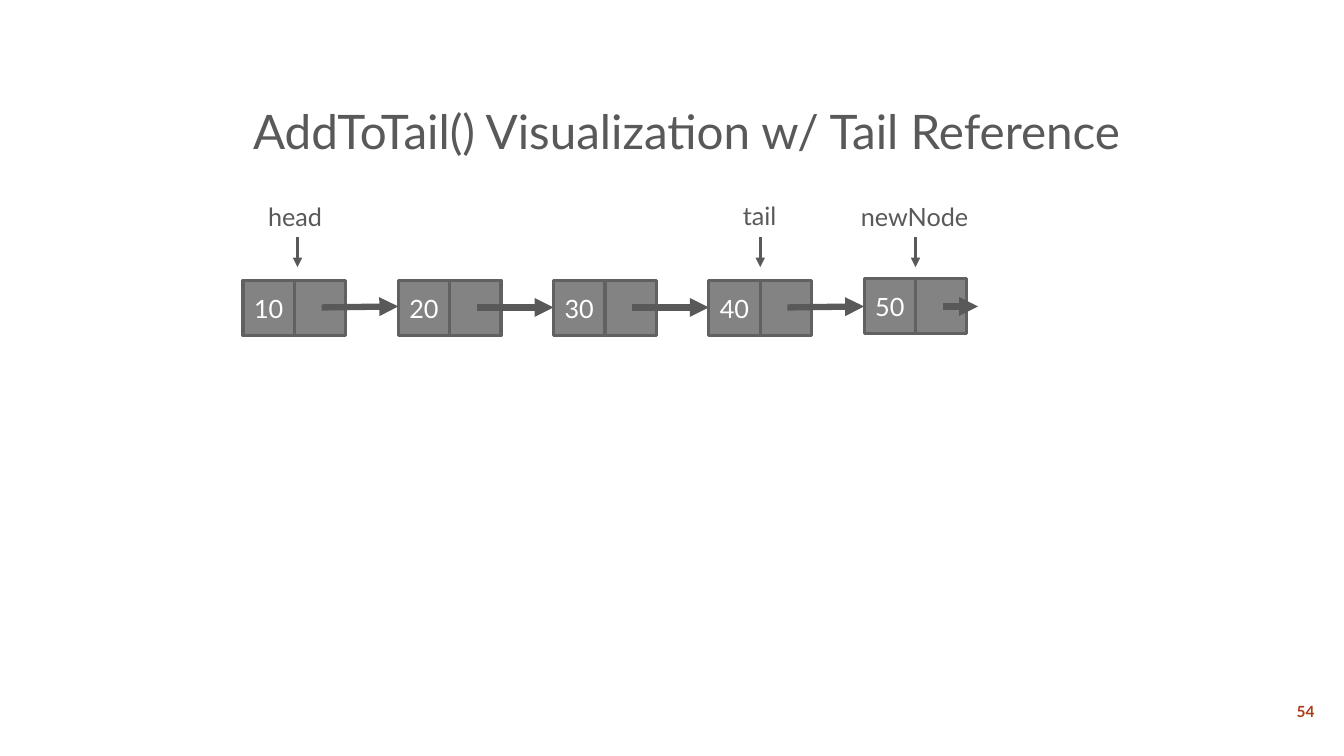
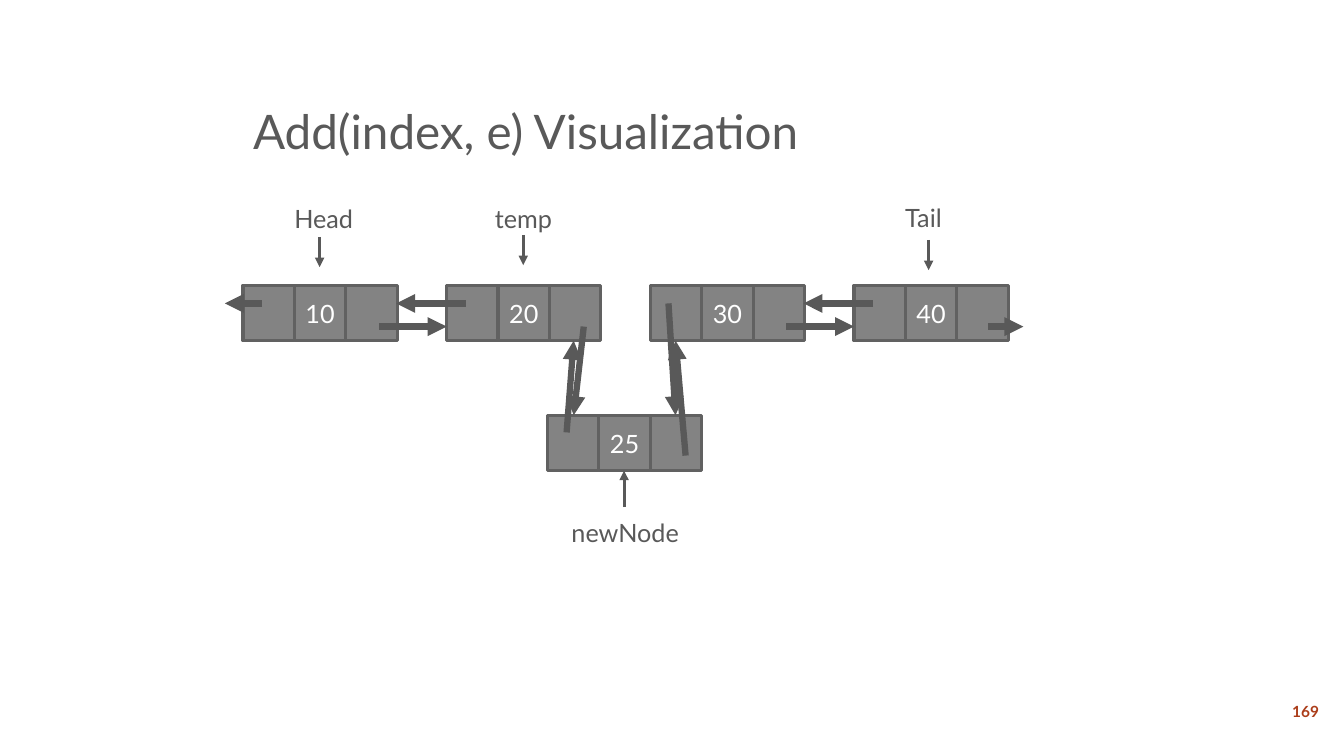
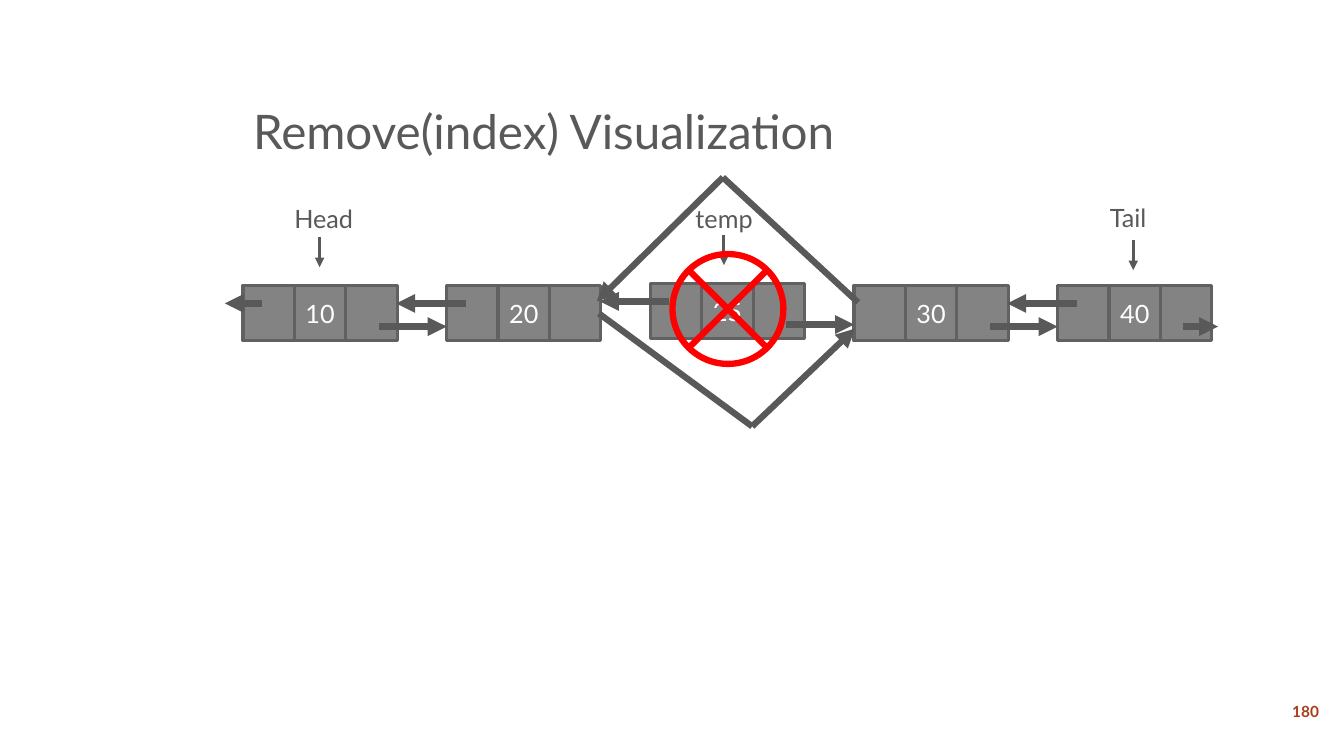
import dataclasses

import lxml.etree
import pptx
import pptx.dml.color
import pptx.enum.shapes
import pptx.enum.text
import pptx.oxml.ns
import pptx.util

Inches = pptx.util.Inches
Pt = pptx.util.Pt
Shape = pptx.enum.shapes.MSO_SHAPE
Align = pptx.enum.text.PP_ALIGN
Anchor = pptx.enum.text.MSO_ANCHOR
AutoSize = pptx.enum.text.MSO_AUTO_SIZE


@dataclasses.dataclass(frozen=True)
class Theme:
    font: str = "Lato"
    ink: str = "595959"
    white: str = "FFFFFF"
    accent: str = "AB3C19"
    cell: str = "838383"
    border: str = "616161"
    warning: str = "FF0000"
    title_size: float = 34
    text_size: float = 18
    number_size: float = 11
    thin: float = 2.25
    thick: float = 4.5


THEME = Theme()
CELL_WIDTH = 0.51
CELL_HEIGHT = 0.55
LIST_LEFT = 2.41
SINGLE_PITCH = 1.54
DOUBLE_PITCH = 2.02
SINGLE_TOP = 2.78
DOUBLE_TOP = 2.83


def rgb(value):
    return pptx.dml.color.RGBColor.from_string(value)


def write(frame, text, size, color, align=Align.LEFT, bold=False):
    para = frame.paragraphs[0]
    para.alignment = align
    span = para.add_run()
    span.text = text
    span.font.name = THEME.font
    span.font.size = Pt(size)
    span.font.bold = bold
    span.font.color.rgb = rgb(color)
    return para


def set_line(shape, color, width):
    shape.line.color.rgb = rgb(color)
    shape.line.width = Pt(width)


def add_page(deck, title, number):
    page = deck.slides.add_slide(deck.slide_layouts[5])
    heading = page.shapes.title
    heading.left, heading.top = Inches(LIST_LEFT), Inches(0.33)
    heading.width, heading.height = Inches(10.25), Inches(1.31)
    heading.text_frame.auto_size = AutoSize.NONE
    heading.text_frame.vertical_anchor = Anchor.BOTTOM
    para = write(heading.text_frame, title, THEME.title_size, THEME.ink)
    para.line_spacing = 0.9

    box = page.shapes.add_textbox(Inches(12.66), Inches(6.87), Inches(0.58), Inches(0.38))
    box.text_frame.word_wrap = True
    box.text_frame.vertical_anchor = Anchor.MIDDLE
    write(box.text_frame, number, THEME.number_size, THEME.accent, Align.CENTER, True)
    return page


def add_line(page, start, end, width=THEME.thick, head=True):
    line = page.shapes.add_connector(
        pptx.enum.shapes.MSO_CONNECTOR.STRAIGHT,
        *(Inches(value) for value in (*start, *end)),
    )
    set_line(line, THEME.ink, width)
    qn = pptx.oxml.ns.qn
    properties = line.element.spPr
    if head:
        outline = properties.find(qn("a:ln"))
        lxml.etree.SubElement(outline, qn("a:tailEnd"), type="triangle")
    lxml.etree.SubElement(properties, qn("a:effectLst"))


def add_label(page, text, left, top, width, pointer_x, pointer_start, pointer_end):
    box = page.shapes.add_textbox(Inches(left), Inches(top), Inches(width), Inches(0.4))
    box.text_frame.word_wrap = False
    box.text_frame.auto_size = AutoSize.SHAPE_TO_FIT_TEXT
    write(box.text_frame, text, THEME.text_size, THEME.ink)
    add_line(page, (pointer_x, pointer_start), (pointer_x, pointer_end), THEME.thin)


def add_node(page, left, top, texts):
    for index, text in enumerate(texts):
        cell = page.shapes.add_shape(
            Shape.RECTANGLE,
            Inches(left + index * CELL_WIDTH),
            Inches(top),
            Inches(CELL_WIDTH),
            Inches(CELL_HEIGHT),
        )
        cell.shadow.inherit = False
        cell.fill.solid()
        cell.fill.fore_color.rgb = rgb(THEME.cell)
        set_line(cell, THEME.border, THEME.thin)
        if text:
            frame = cell.text_frame
            frame.margin_left = frame.margin_right = 0
            frame.vertical_anchor = Anchor.MIDDLE
            write(frame, text, THEME.text_size, THEME.white, Align.CENTER)


def add_double_node(page, left, top, value):
    add_node(page, left, top, ("", value, ""))


def node_left(index, pitch=DOUBLE_PITCH):
    return LIST_LEFT + index * pitch


def add_next(page, index, top=DOUBLE_TOP):
    left, y = node_left(index), top + 0.41
    add_line(page, (left + 1.35, y), (left + DOUBLE_PITCH, y))


def add_previous(page, index, top=DOUBLE_TOP):
    left, y = node_left(index), top + 0.18
    add_line(page, (left + 0.19, y), (left - 0.5, y))


def add_list_ends(page, next_start, next_end):
    add_line(page, (2.6, 3.01), (2.23, 3.01))
    add_line(page, (next_start, 3.24), (next_end, 3.24))


def build_add_to_tail(deck):
    page = add_page(deck, "AddToTail() Visualization w/ Tail Reference", "54")
    tops = (SINGLE_TOP,) * 4 + (2.76,)
    for index, top in enumerate(tops):
        value = str(10 * (index + 1))
        add_node(page, node_left(index, SINGLE_PITCH), top, (value, ""))
    for index, end_y in enumerate((3.04, 3.05, 3.05, 3.04)):
        left = node_left(index, SINGLE_PITCH)
        add_line(page, (left + 0.78, 3.05), (left + SINGLE_PITCH, end_y))
    add_line(page, (9.35, 3.04), (9.7, 3.04))
    add_label(page, "head", 2.56, 1.95, 0.78, 2.95, 2.35, 2.65)
    add_label(page, "newNode", 8.44, 1.95, 1.27, 9.08, 2.35, 2.65)
    add_label(page, "tail", 7.27, 1.94, 0.56, 7.54, 2.35, 2.65)


def build_add_at_index(deck):
    page = add_page(deck, "Add(index, e) Visualization", "169")
    for index, value in enumerate(("10", "20", "30", "40")):
        add_double_node(page, node_left(index), DOUBLE_TOP, value)
    add_double_node(page, 5.43, 4.12, "25")
    for index in (0, 2):
        add_next(page, index)
    for index in (1, 3):
        add_previous(page, index)
    add_list_ends(page, 9.8, 10.15)

    insertion_links = (
        ((5.79, 3.24), (5.69, 4.12)),
        ((6.63, 3.01), (6.7, 4.12)),
        ((5.62, 4.29), (5.69, 3.38)),
        ((6.8, 4.52), (6.7, 3.38)),
    )
    for start, end in insertion_links:
        add_line(page, start, end)

    add_label(page, "Head", 2.82, 1.97, 0.81, 3.17, 2.35, 2.65)
    add_label(page, "Tail", 8.88, 1.96, 0.59, 9.21, 2.38, 2.68)
    add_label(page, "temp", 4.81, 1.97, 0.77, 5.19, 2.33, 2.63)
    add_label(page, "newNode", 5.57, 5.08, 1.27, 6.19, 5.03, 4.67)


def build_remove(deck):
    page = add_page(deck, "Remove(index) Visualization", "180")
    removed_top = 2.81
    tops = (DOUBLE_TOP, DOUBLE_TOP, removed_top, DOUBLE_TOP, DOUBLE_TOP)
    for index, (value, top) in enumerate(zip(("10", "20", "25", "30", "40"), tops)):
        add_double_node(page, node_left(index), top, value)
    for index in (0, 2, 3):
        add_next(page, index, tops[index])
    for index in (1, 2, 4):
        add_previous(page, index, tops[index])
    add_list_ends(page, 11.73, 12.08)

    add_label(page, "Head", 2.82, 1.97, 0.81, 3.17, 2.35, 2.65)
    add_label(page, "Tail", 10.91, 1.96, 0.59, 11.24, 2.38, 2.68)
    add_label(page, "temp", 6.8, 1.97, 0.77, 7.18, 2.33, 2.63)

    bypasses = (
        ((8.51, 3), (7.17, 1.76), (5.92, 2.99)),
        ((5.94, 3.11), (7.46, 4.23), (8.48, 3.26)),
    )
    for start, corner, end in bypasses:
        add_line(page, start, corner, head=False)
        add_line(page, corner, end)

    cross = page.shapes.add_shape(
        Shape.FLOWCHART_SUMMING_JUNCTION, Inches(6.67), Inches(2.52), Inches(1.1), Inches(1.09)
    )
    cross.shadow.inherit = False
    cross.fill.background()
    set_line(cross, THEME.warning, THEME.thick)


def main():
    deck = pptx.Presentation()
    deck.slide_width, deck.slide_height = Inches(13.33), Inches(7.5)
    build_add_to_tail(deck)
    build_add_at_index(deck)
    build_remove(deck)
    deck.save("out.pptx")


if __name__ == "__main__":
    main()
